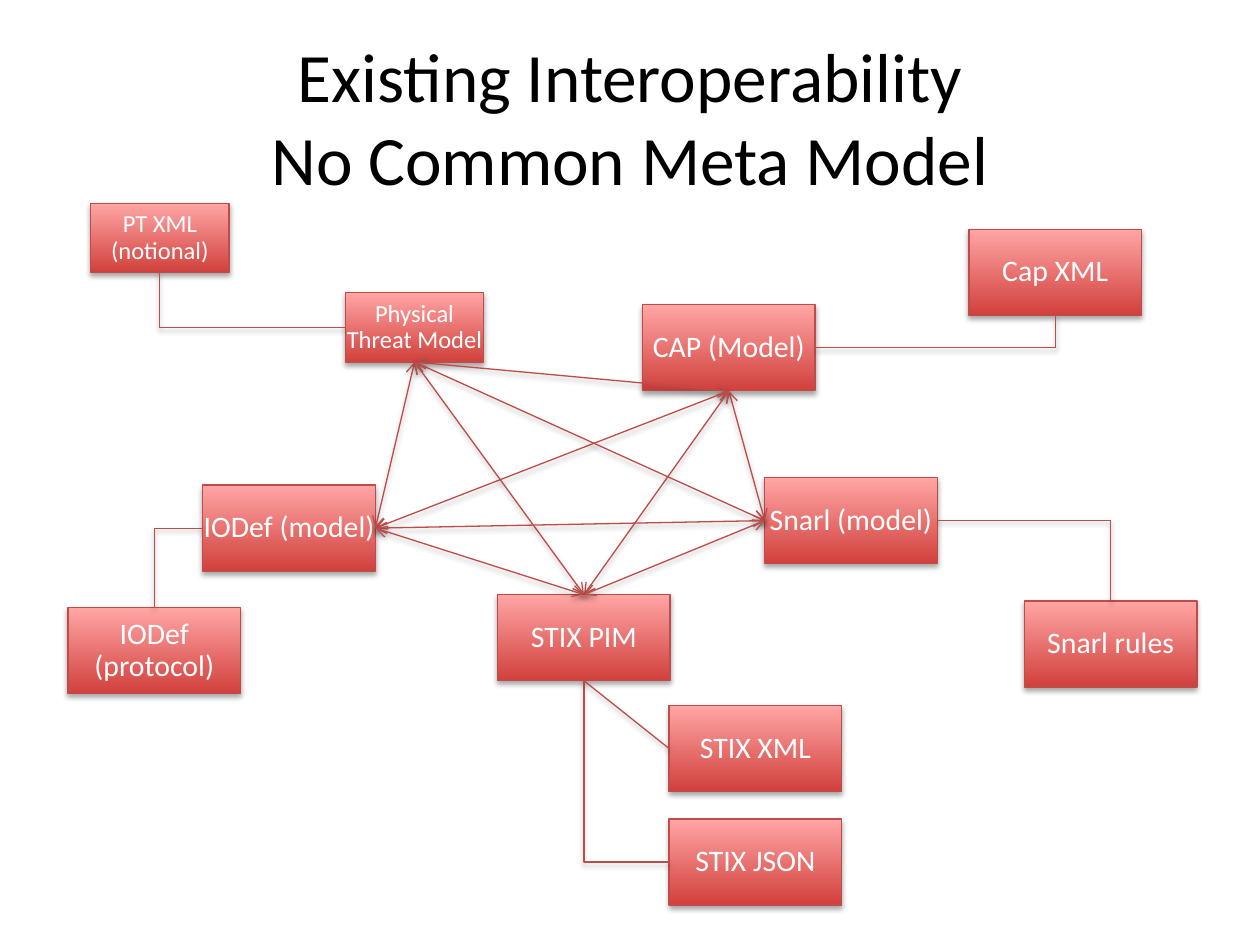
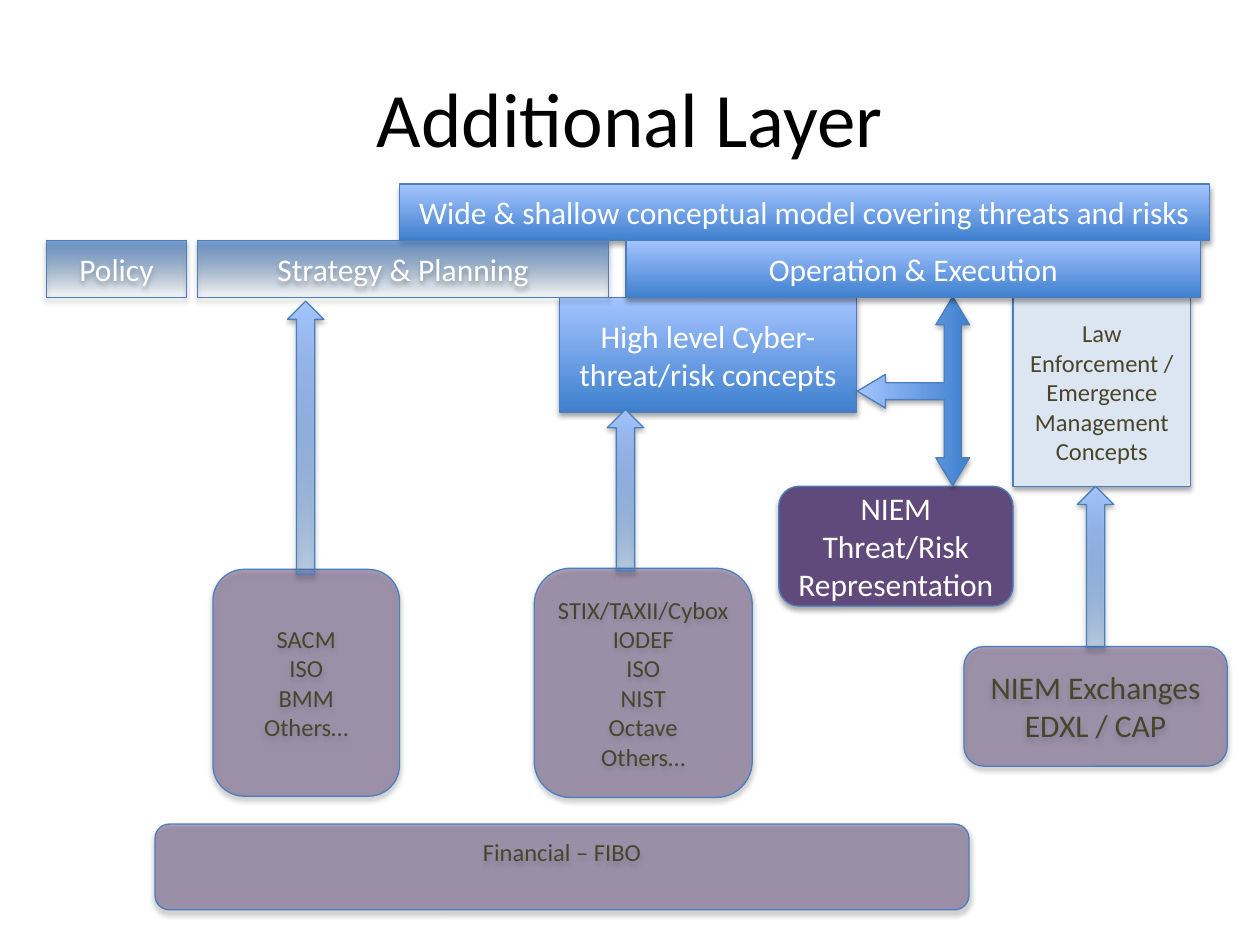
"""Two slides on threat-model interoperability, built from shared boxes and links."""
import itertools

import pptx
import pptx.dml.color
import pptx.enum.shapes
import pptx.enum.text
import pptx.oxml
import pptx.oxml.ns
import pptx.util

Pt = pptx.util.Pt
RGB = pptx.dml.color.RGBColor
SHAPE = pptx.enum.shapes.MSO_SHAPE
LINK = pptx.enum.shapes.MSO_CONNECTOR
qn = pptx.oxml.ns.qn

BLACK, WHITE = RGB(0, 0, 0), RGB(0xFF, 0xFF, 0xFF)
RED_DARK, RED_LIGHT = RGB(0xD1, 0x40, 0x3C), RGB(0xFF, 0xA6, 0xA5)
RED_LINE, BLUE_LINE = RGB(0xBF, 0x4C, 0x48), RGB(0x4B, 0x7E, 0xBC)
BLUE_DARK, BLUE_LIGHT = RGB(0x3F, 0x80, 0xCE), RGB(0xA4, 0xC4, 0xFF)
NAVY, MID_BLUE, BLUE = RGB(0x2F, 0x5F, 0x99), RGB(0x3D, 0x7C, 0xC7), RGB(0x3A, 0x7C, 0xCB)
PALE, PURPLE, OLIVE = RGB(0xDC, 0xE6, 0xF2), RGB(0x60, 0x4A, 0x7B), RGB(0x4A, 0x45, 0x2A)
FONT = "Calibri"

FILLS = {
    "red": [(0, RED_DARK, 100), (100, RED_LIGHT, 100)],
    "blue": [(0, BLUE_DARK, 100), (100, BLUE_LIGHT, 100)],
    "fading": [(0, BLUE_DARK, 27), (100, BLUE_LIGHT, 100)],
    "faint": [(7, NAVY, 5), (100, MID_BLUE, 68), (100, BLUE, 100)],
    "pale": [(0, PALE, 100)],
    "purple": [(0, PURPLE, 100)],
    "mauve": [(0, PURPLE, 49)],
}

TOP, LEFT, BOTTOM, RIGHT = range(4)
LARGE, SMALL = (98.6, 49.2, 17), (79.2, 39.6, 14)

MODELS = {
    "STIX PIM": (284.4, 339.8, LARGE),
    "STIX XML": (382.4, 403.2, LARGE),
    "STIX JSON": (382.4, 468, LARGE),
    "IODef (model)": (115.9, 277.2, LARGE),
    "IODef (protocol)": (38.9, 347.3, LARGE),
    "CAP (Model)": (367.2, 174.2, LARGE),
    "Cap XML": (553.7, 131, LARGE),
    "Snarl (model)": (437, 272.9, LARGE),
    "Snarl rules": (585.4, 343.4, LARGE),
    "Physical Threat Model": (197.3, 167.3, SMALL),
    "PT XML (notional)": (51.8, 116.2, SMALL),
}
MESH = [
    ("CAP (Model)", BOTTOM),
    ("Physical Threat Model", BOTTOM),
    ("IODef (model)", RIGHT),
    ("Snarl (model)", LEFT),
    ("STIX PIM", TOP),
]
ELBOWS = [
    (("IODef (model)", LEFT), ("IODef (protocol)", TOP)),
    (("CAP (Model)", RIGHT), ("Cap XML", BOTTOM)),
    (("Snarl (model)", RIGHT), ("Snarl rules", TOP)),
    (("STIX JSON", LEFT), ("STIX PIM", BOTTOM)),
    (("Physical Threat Model", LEFT), ("PT XML (notional)", BOTTOM)),
]
STRAIGHT = (("STIX PIM", BOTTOM), ("STIX XML", LEFT))

RECT, ROUND, UP = SHAPE.RECTANGLE, SHAPE.ROUNDED_RECTANGLE, SHAPE.UP_ARROW
LAYERS = [
    (RECT, "blue", (228.2, 105.1, 463, 32.4), 18, WHITE,
     ["Wide & shallow conceptual model covering threats and risks"]),
    (RECT, "blue", (319.7, 169.9, 169.9, 65.5), 18, WHITE,
     ["High level Cyber-threat/risk concepts"]),
    (RECT, "pale", (578.9, 169.9, 101.5, 108), 14, OLIVE,
     ["Law Enforcement / Emergence Management Concepts"]),
    (ROUND, "purple", (445, 277.9, 133.9, 68.4), 18, WHITE,
     ["NIEM Threat/Risk Representation"]),
    (SHAPE.LEFT_RIGHT_UP_ARROW, "blue", (468, 191.5, 108, 64.1), 18, WHITE, []),
    (ROUND, "mauve", (550.8, 369.4, 150.5, 68.4), 18, OLIVE,
     ["NIEM Exchanges", "EDXL / CAP"]),
    (ROUND, "mauve", (305.3, 324.7, 124.6, 131), 14, OLIVE,
     ["STIX/TAXII/Cybox", "IODEF", "ISO", "NIST", "Octave", "Others…"]),
    (UP, "fading", (615.6, 277.9, 20.9, 92.2), 14, WHITE, []),
    (RECT, "blue", (357.8, 137.5, 328.3, 32.4), 18, WHITE, ["Operation & Execution"]),
    (RECT, "faint", (113, 137.5, 234.7, 32.4), 18, WHITE, ["Strategy & Planning"]),
    (UP, "fading", (347, 234, 20.9, 92.2), 14, WHITE, []),
    (ROUND, "mauve", (121.7, 325.4, 106.6, 129.6), 14, OLIVE,
     ["SACM", "ISO", "BMM", "Others…"]),
    (UP, "fading", (164.2, 172.1, 20.9, 156.2), 14, WHITE, []),
    (RECT, "faint", (26.6, 137.5, 79.9, 32.4), 18, WHITE, ["Policy"]),
    (ROUND, "mauve", (88.6, 470.9, 465.1, 49), 14, OLIVE, ["Financial – FIBO"]),
]


def apply(obj, **values):
    for name, value in values.items():
        setattr(obj, name, value)


def child(parent, tag, **attrs):
    el = parent.makeelement(qn(tag), {k: str(v) for k, v in attrs.items()})
    parent.append(el)
    return el


def add_alpha(color, opacity):
    if opacity < 100:
        child(color, "a:alpha", val=opacity * 1000)


def paint(s, stops):
    if len(stops) == 1:
        _, color, opacity = stops[0]
        s.fill.solid()
        s.fill.fore_color.rgb = color
        add_alpha(s.element.spPr.find(qn("a:solidFill"))[0], opacity)
        return
    s.fill.gradient()
    s.fill.gradient_angle = 90
    stop_list = s.element.spPr.find(".//" + qn("a:gsLst"))
    for old in list(stop_list):
        stop_list.remove(old)
    for position, color, opacity in stops:
        gs = child(stop_list, "a:gs", pos=position * 1000)
        add_alpha(child(gs, "a:srgbClr", val=color), opacity)


def cast_shadow(effects):
    shadow = child(effects, "a:outerShdw", blurRad=Pt(3.1), dist=Pt(1.8),
                   dir=5400000, rotWithShape=0)
    add_alpha(child(shadow, "a:srgbClr", val=BLACK), 35)


def write(tf, lines, size, color, spacing=1.0):
    apply(tf, word_wrap=True, vertical_anchor=pptx.enum.text.MSO_ANCHOR.MIDDLE)
    for i, line in enumerate(lines):
        p = tf.add_paragraph() if i else tf.paragraphs[0]
        p.text = line
        apply(p, alignment=pptx.enum.text.PP_ALIGN.CENTER, line_spacing=spacing)
        for r in p.runs:
            apply(r.font, name=FONT, size=Pt(size))
            r.font.color.rgb = color


def add_box(slide, kind, fill, at, line):
    s = slide.shapes.add_shape(kind, *map(Pt, at))
    paint(s, FILLS[fill])
    s.line.color.rgb = line
    s.line.width = Pt(0.75)
    s.shadow.inherit = False
    cast_shadow(s.element.spPr.find(qn("a:effectLst")))
    return s


def add_link(slide, boxes, start, end, kind=LINK.STRAIGHT, arrows=False):
    c = slide.shapes.add_connector(kind, 0, 0, 0, 0)
    c.begin_connect(boxes[start[0]], start[1])
    c.end_connect(boxes[end[0]], end[1])
    c.line.color.rgb = RED_LINE
    c.line.width = Pt(0.75)
    spPr = c.element.spPr
    if kind == LINK.ELBOW:
        spPr.find(qn("a:prstGeom")).set("prst", "bentConnector2")
    if arrows:
        for tag in ("a:headEnd", "a:tailEnd"):
            child(spPr.find(qn("a:ln")), tag, type="arrow")
    cast_shadow(child(spPr, "a:effectLst"))


def add_slide(prs, title, size):
    slide = prs.slides.add_slide(prs.slide_layouts[5])
    s = slide.shapes.title
    apply(s, left=Pt(36), top=Pt(21.6), width=Pt(648), height=Pt(90))
    write(s.text_frame, [title], size, BLACK)
    return slide


def build_interoperability(prs):
    slide = add_slide(prs, "Existing Interoperability\vNo Common Meta Model", 39.6)
    boxes = {}
    for name, (x, y, (w, h, size)) in MODELS.items():
        s = boxes[name] = add_box(slide, RECT, "red", (x, y, w, h), RED_LINE)
        for side in ("left", "top", "right", "bottom"):
            setattr(s.text_frame, "margin_" + side, Pt(0.4))
        write(s.text_frame, [name], size, WHITE, 0.9)
    for start, end in itertools.combinations(MESH, 2):
        add_link(slide, boxes, start, end, arrows=True)
    for start, end in ELBOWS:
        add_link(slide, boxes, start, end, LINK.ELBOW)
    add_link(slide, boxes, *STRAIGHT)


def build_layers(prs):
    slide = add_slide(prs, "Additional Layer", 44)
    for kind, fill, at, size, color, lines in LAYERS:
        s = add_box(slide, kind, fill, at, BLUE_LINE)
        write(s.text_frame, lines, size, color)
        if kind == SHAPE.LEFT_RIGHT_UP_ARROW:
            s.rotation = 270
            for i, value in enumerate((0.15, 0.15, 0.25)):
                s.adjustments[i] = value
        if lines == ["Financial – FIBO"]:
            s.text_frame.margin_bottom = Pt(20.4)


def main():
    prs = pptx.Presentation()
    apply(prs, slide_width=Pt(720), slide_height=Pt(540))
    build_interoperability(prs)
    build_layers(prs)
    prs.save("out.pptx")


if __name__ == "__main__":
    main()
